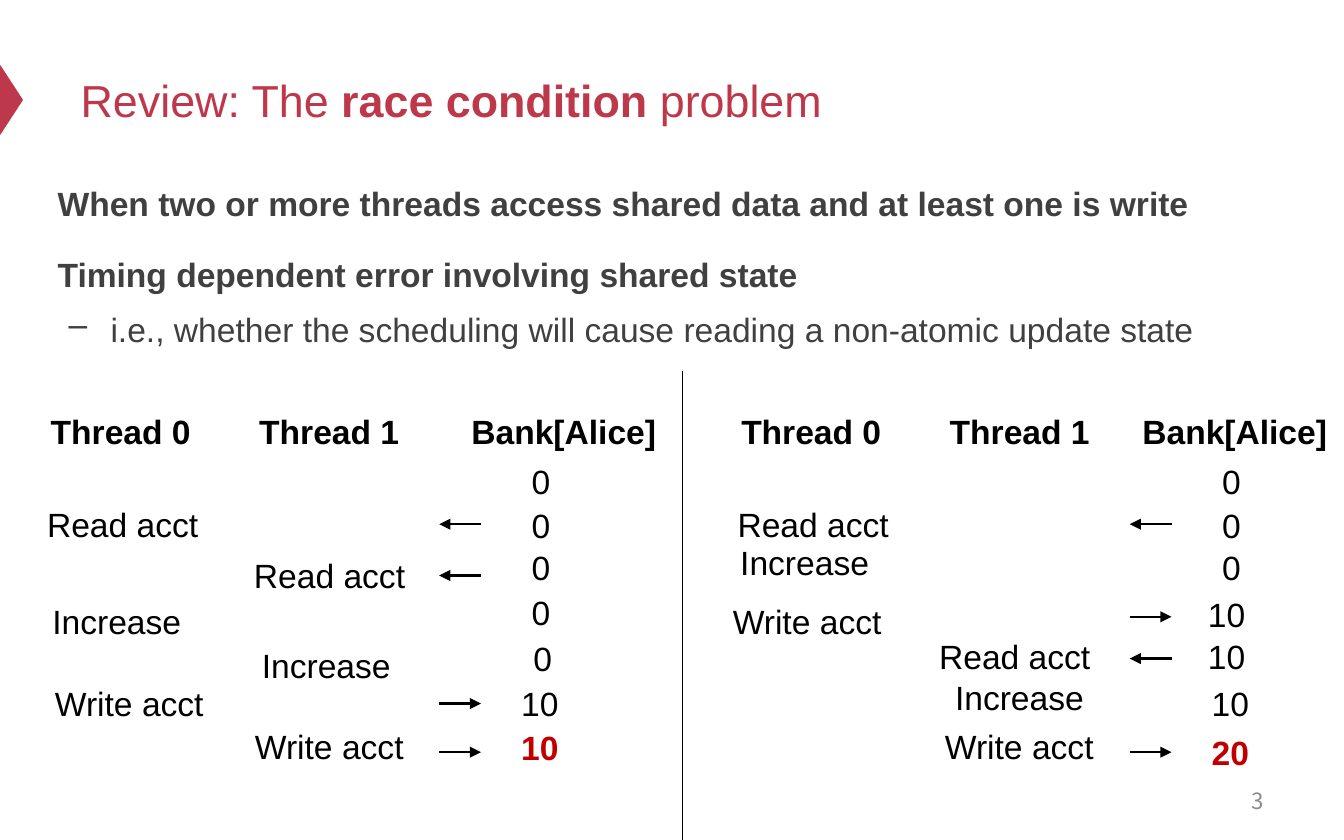
from lxml import etree
from pptx import Presentation
from pptx.dml.color import RGBColor
from pptx.enum.shapes import MSO_CONNECTOR, MSO_SHAPE
from pptx.enum.text import MSO_ANCHOR, MSO_AUTO_SIZE, PP_ALIGN
from pptx.oxml.ns import qn
from pptx.util import Cm, Pt

RED = RGBColor(0xBE, 0x38, 0x4B)
RESULT_RED = RGBColor(0xC0, 0x00, 0x00)
DARK = RGBColor(0x40, 0x40, 0x40)
GRAY = RGBColor(0x8C, 0x8C, 0x8C)
BLACK = RGBColor(0, 0, 0)

BODY_FORMAT = {"name": "Arial", "size": Pt(18), "bold": False}
BOLD_FORMAT = {**BODY_FORMAT, "bold": True}
TITLE_FORMAT = {**BODY_FORMAT, "size": Pt(24)}
NUMBER_FORMAT = {"name": "Noto Sans CJK SC", "size": Pt(12)}

# All positions below are in centimetres
LABEL_HEIGHT = 1.02
HEADER_TOP = 7.65
ARROW_LEFT, ARROW_RIGHT = 8.3, 9.09
LABEL_WIDTHS = {"Thread 0": 3.18, "Thread 1": 3.18, "Bank[Alice]": 4.04,
                "Read acct": 3.4, "Increase": 3.15, "Write acct": 3.35,
                "0": 0.86, "10": 1.27, "20": 1.27}

# Each schedule: x positions are relative to its own left edge
INTERLEAVED = {
    "left": 0,
    "headers": [("Thread 0", 0.71), ("Thread 1", 4.65), ("Bank[Alice]", 8.66)],
    "steps": [("Read acct", 0.64, 9.4), ("Read acct", 4.55, 10.36),
              ("Increase", 0.74, 11.23), ("Increase", 4.7, 12.07),
              ("Write acct", 0.79, 12.78), ("Write acct", 4.57, 13.59)],
    "balances": [("0", 9.8, 8.59), ("0", 9.8, 9.42), ("0", 9.8, 10.21),
                 ("0", 9.8, 11.07), ("0", 9.83, 11.94), ("10", 9.6, 12.78)],
    "result": ("10", 9.6, 13.61),
    "reads": [9.91, 10.88],
    "writes": [13.3, 14.22],
}
SEQUENTIAL = {
    "left": 13.05,
    "headers": [("Thread 0", 0.71), ("Thread 1", 4.65), ("Bank[Alice]", 8.29)],
    "steps": [("Read acct", 0.64, 9.4), ("Increase", 0.69, 10.13),
              ("Write acct", 0.55, 11.23), ("Read acct", 4.45, 11.89),
              ("Increase", 4.75, 12.67), ("Write acct", 4.56, 13.59)],
    "balances": [("0", 9.8, 8.59), ("0", 9.8, 9.42), ("0", 9.8, 10.21),
                 ("10", 9.53, 11.1), ("10", 9.53, 11.89), ("10", 9.6, 12.78)],
    "result": ("20", 9.6, 13.72),
    "reads": [9.91, 12.45],
    "writes": [11.66, 14.22],
}


def add_run(paragraph, text, color, formats):
    run = paragraph.add_run()
    run.text = text
    for attribute, value in formats.items():
        setattr(run.font, attribute, value)
    run.font.color.rgb = color


def add_text_frame(slide, left, top, width, height, wrap=True):
    box = slide.shapes.add_textbox(Cm(left), Cm(top), Cm(width), Cm(height))
    box.text_frame.word_wrap = wrap
    return box.text_frame


def add_label(slide, text, left, top, color=BLACK, formats=BODY_FORMAT):
    label = add_text_frame(slide, left, top, LABEL_WIDTHS[text], LABEL_HEIGHT, wrap=False)
    add_run(label.paragraphs[0], text, color, formats)


def add_line(slide, x1, y1, x2, y2, width, arrow=False):
    line = slide.shapes.add_connector(
        MSO_CONNECTOR.STRAIGHT, Cm(x1), Cm(y1), Cm(x2), Cm(y2))
    line.line.color.rgb = BLACK
    line.line.width = Pt(width)
    if arrow:
        etree.SubElement(line.line._get_or_add_ln(), qn("a:tailEnd"), type="triangle")
    etree.SubElement(line._element.spPr, qn("a:effectLst"))


def add_title(slide):
    title = slide.shapes.title
    title.left, title.top, title.width, title.height = Cm(1.27), Cm(0.64), Cm(22.86), Cm(2.49)
    frame = title.text_frame
    frame.auto_size = MSO_AUTO_SIZE.NONE
    frame.vertical_anchor = MSO_ANCHOR.MIDDLE
    paragraph = frame.paragraphs[0]
    paragraph.alignment = PP_ALIGN.LEFT
    for text, bold in [("Review: The ", False), ("race condition ", True), ("problem", False)]:
        add_run(paragraph, text, RED, {**TITLE_FORMAT, "bold": bold})


def add_marker(slide):
    marker = slide.shapes.add_shape(
        MSO_SHAPE.ISOSCELES_TRIANGLE, Cm(-0.46), Cm(1.67), Cm(1.35), Cm(0.44))
    marker.rotation = 90
    marker.shadow.inherit = False
    marker.fill.solid()
    marker.fill.fore_color.rgb = RED
    marker.line.fill.background()


def add_definition(slide):
    frame = add_text_frame(slide, 0.84, 3.18, 22.86, 4.8)
    points = [
        ("When two or more threads access shared data and at least one is write", 0, BOLD_FORMAT),
        ("Timing dependent error involving shared state", 12, BOLD_FORMAT),
        ("i.e., whether the scheduling will cause reading a non-atomic update state",
         3.6, BODY_FORMAT),
    ]
    for index, (text, space, formats) in enumerate(points):
        paragraph = frame.add_paragraph() if index else frame.paragraphs[0]
        paragraph.line_spacing = 1.2
        paragraph.space_before = Pt(space)
        add_run(paragraph, text, DARK, formats)

    # The last point is an indented dash item
    paragraph.level = 1
    properties = paragraph._p.get_or_add_pPr()
    properties.set("marL", str(Cm(1)))
    properties.set("indent", str(-Cm(0.79)))
    etree.SubElement(properties, qn("a:buChar"), char="–")


def add_schedule(slide, schedule):
    left = schedule["left"]
    for text, x in schedule["headers"]:
        add_label(slide, text, left + x, HEADER_TOP, formats=BOLD_FORMAT)
    for text, x, top in schedule["steps"] + schedule["balances"]:
        add_label(slide, text, left + x, top)
    text, x, top = schedule["result"]
    add_label(slide, text, left + x, top, RESULT_RED, BOLD_FORMAT)

    # Reads point to the threads, writes point to the account
    start, end = left + ARROW_LEFT, left + ARROW_RIGHT
    for y in schedule["reads"]:
        add_line(slide, end, y, start, y, 1.2, arrow=True)
    for y in schedule["writes"]:
        add_line(slide, start, y, end, y, 1.2, arrow=True)


def add_page_number(slide):
    frame = add_text_frame(slide, 18.21, 14.71, 5.92, 0.84)
    frame.vertical_anchor = MSO_ANCHOR.MIDDLE
    frame.paragraphs[0].alignment = PP_ALIGN.RIGHT
    add_run(frame.paragraphs[0], "3", GRAY, NUMBER_FORMAT)


def main():
    presentation = Presentation()
    presentation.slide_width, presentation.slide_height = Cm(25.4), Cm(15.88)
    slide = presentation.slides.add_slide(presentation.slide_layouts[5])

    # Heading and definition
    add_marker(slide)
    add_title(slide)
    add_definition(slide)

    # Two schedules on either side of a divider
    add_schedule(slide, INTERLEAVED)
    add_line(slide, 12.9, 7.01, 12.9, 15.88, 0.75)
    add_schedule(slide, SEQUENTIAL)

    add_page_number(slide)
    presentation.save("out.pptx")


if __name__ == "__main__":
    main()
